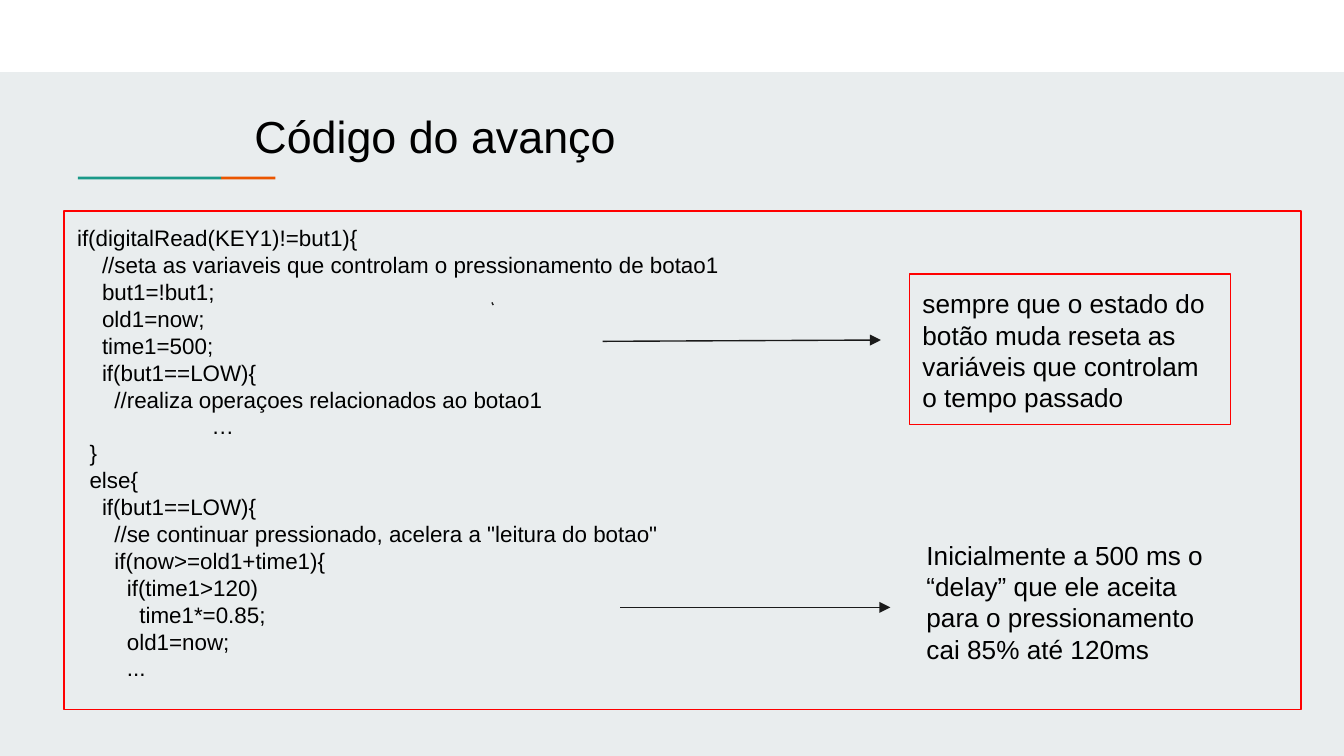
"""Build the slide "Código do avanço" with annotated code."""
import pptx
import pptx.dml.color
import pptx.enum.shapes
import pptx.enum.text
import pptx.oxml.ns
import pptx.util
from lxml import etree

PX = 4572
INDENT = pptx.util.Pt(6.67)
FONT = "Arial"

RGB = pptx.dml.color.RGBColor
BACKGROUND = RGB(0xE9, 0xED, 0xEE)
WHITE = RGB(0xFF, 0xFF, 0xFF)
BLACK = RGB(0x00, 0x00, 0x00)
RED = RGB(0xFF, 0x00, 0x00)
TEAL = RGB(0x1A, 0x99, 0x88)
ORANGE = RGB(0xEB, 0x56, 0x00)
DARK = RGB(0x1A, 0x1A, 0x1A)

CODE = [
    (0, "if(digitalRead(KEY1)!=but1){"),
    (2, "//seta as variaveis que controlam o pressionamento de botao1"),
    (2, "but1=!but1;"),
    (2, "old1=now;"),
    (2, "time1=500;"),
    (2, "if(but1==LOW){"),
    (3, "//realiza operaçoes relacionados ao botao1"),
    (10.8, "…"),
    (1, "}"),
    (1, "else{"),
    (2, "if(but1==LOW){"),
    (3, "//se continuar pressionado, acelera a \"leitura do botao\""),
    (3, "if(now>=old1+time1){"),
    (4, "if(time1>120)"),
    (5, "time1*=0.85;"),
    (4, "old1=now;"),
    (4, "..."),
]


def px(*values):
    return [pptx.util.Emu(v * PX) for v in values]


def add_rect(s, box, fill=None, line=None):
    sp = s.shapes.add_shape(pptx.enum.shapes.MSO_SHAPE.RECTANGLE, *px(*box))
    sp.shadow.inherit = False
    if fill is None:
        sp.fill.background()
    else:
        sp.fill.solid()
        sp.fill.fore_color.rgb = fill
    if line is None:
        sp.line.fill.background()
    else:
        sp.line.color.rgb = line
        sp.line.width = pptx.util.Pt(0.75)
    return sp


def write(sp, lines, size=14, color=BLACK):
    tf = sp.text_frame
    tf.word_wrap = True
    tf.vertical_anchor = pptx.enum.text.MSO_ANCHOR.TOP
    tf.margin_left, tf.margin_top, tf.margin_right, tf.margin_bottom = px(20, 20, 20, 20)
    for i, (level, text) in enumerate(lines):
        p = tf.add_paragraph() if i else tf.paragraphs[0]
        p.alignment = pptx.enum.text.PP_ALIGN.LEFT
        if level:
            p._p.get_or_add_pPr().set("marL", str(round(level * INDENT)))
        r = p.add_run()
        r.text = text
        r.font.name = FONT
        r.font.size = pptx.util.Pt(size)
        r.font.color.rgb = color


def add_text(s, box, text, **style):
    write(s.shapes.add_textbox(*px(*box)), [(0, text)], **style)


def add_line(s, ends, arrow=False):
    cn = s.shapes.add_connector(pptx.enum.shapes.MSO_CONNECTOR.STRAIGHT, *px(*ends))
    cn.line.color.rgb = DARK
    cn.line.width = pptx.util.Pt(0.75)
    qn = pptx.oxml.ns.qn
    if arrow:
        etree.SubElement(cn.line._get_or_add_ln(), qn("a:tailEnd"), type="triangle")
    etree.SubElement(cn._element.spPr, qn("a:effectLst"))


def main():
    prs = pptx.Presentation()
    prs.slide_width, prs.slide_height = px(2000, 1125)
    s = prs.slides.add_slide(prs.slide_layouts[6])
    s.background.fill.solid()
    s.background.fill.fore_color.rgb = BACKGROUND

    add_rect(s, (0, 0, 2000, 107), fill=WHITE)
    add_rect(s, (329, 263, 81, 4), fill=ORANGE)
    add_rect(s, (116, 263, 213, 4), fill=TEAL)

    write(add_rect(s, (95, 314, 1841, 742), line=RED), CODE, size=12)
    add_text(s, (359, 142, 1386, 158), "Código do avanço", size=24)

    add_line(s, (732, 450, 734, 454))
    add_line(s, (897, 508, 1311, 506), arrow=True)
    note = "sempre que o estado do botão muda reseta as variáveis que controlam o tempo passado"
    write(add_rect(s, (1353, 408, 478, 224), line=RED), [(0, note)])

    add_line(s, (923, 904, 1325, 904), arrow=True)
    add_text(s, (1359, 782, 478, 264),
             "Inicialmente a 500 ms o “delay” que ele aceita para o pressionamento cai 85% até 120ms")

    prs.save("out.pptx")


if __name__ == "__main__":
    main()
